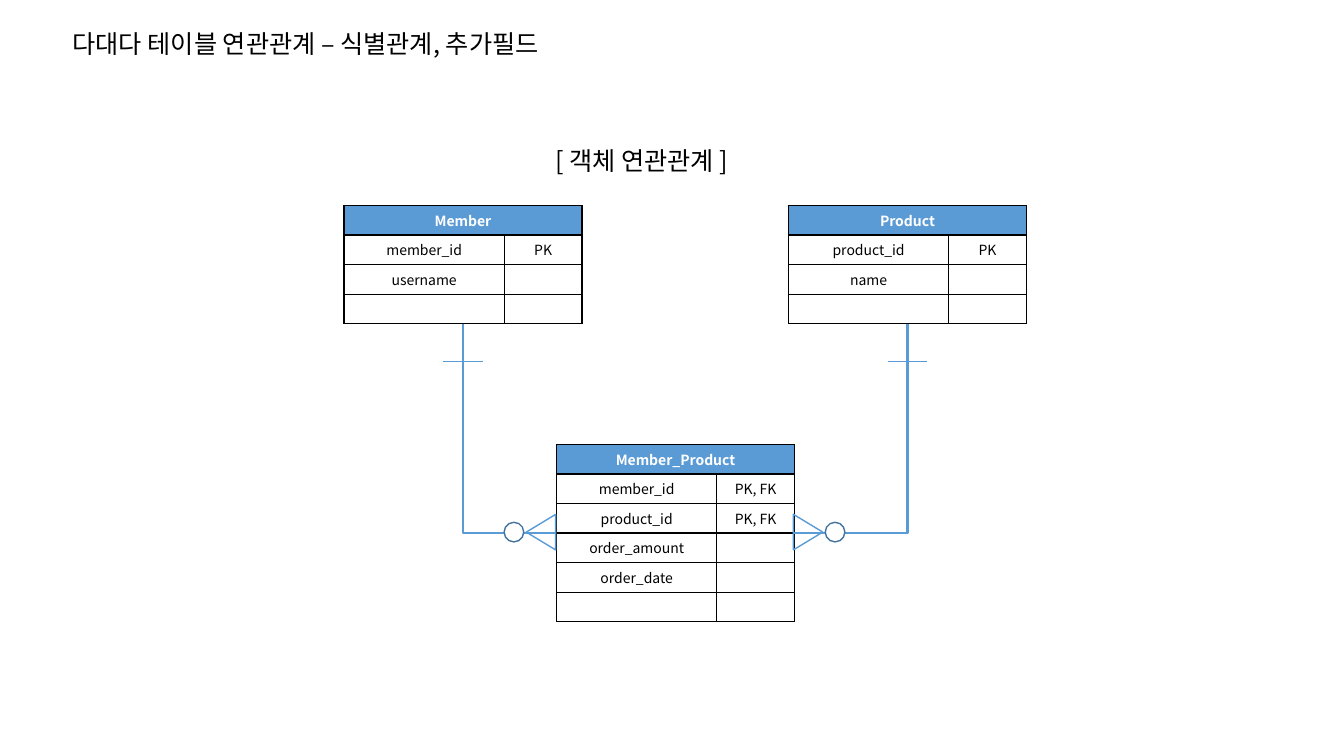
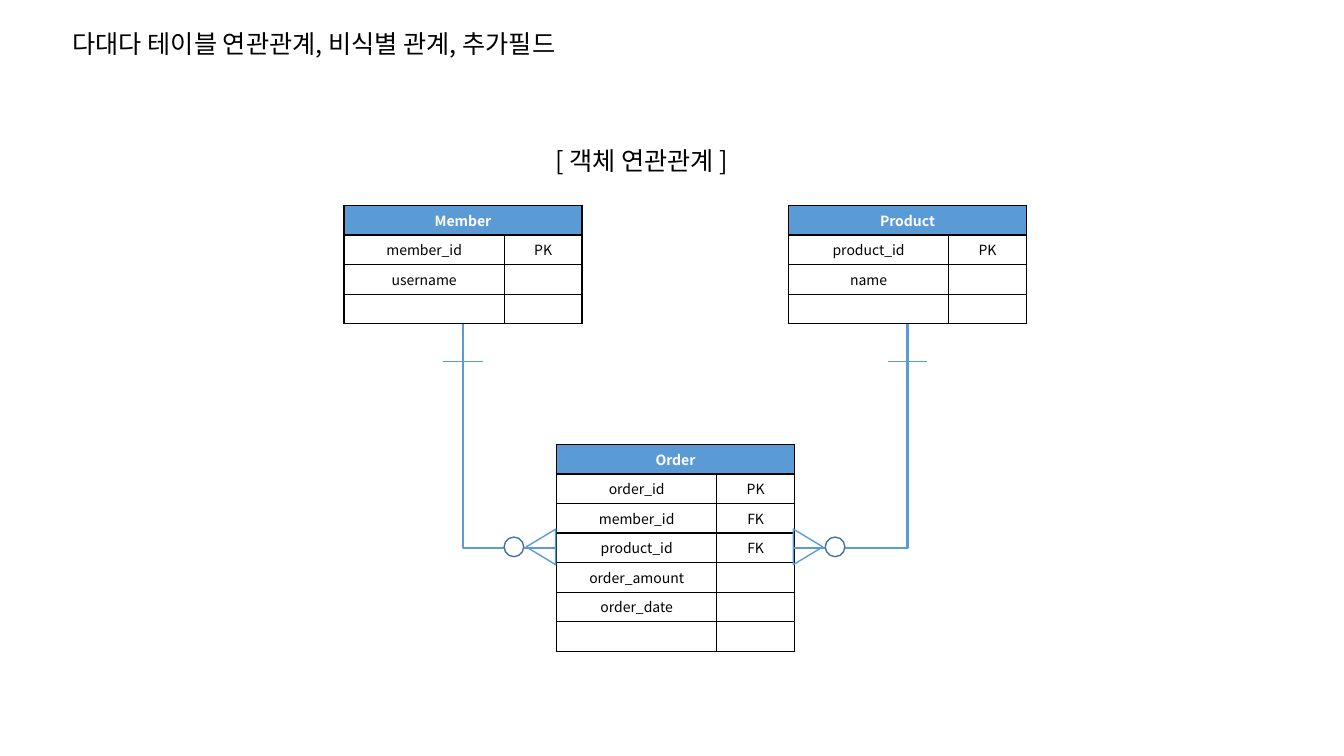
from lxml.etree import SubElement
from pptx import Presentation
from pptx.dml.color import RGBColor
from pptx.enum.shapes import MSO_CONNECTOR, MSO_SHAPE
from pptx.enum.text import MSO_ANCHOR, PP_ALIGN
from pptx.oxml.ns import qn
from pptx.util import Pt

BLACK = RGBColor(0x00, 0x00, 0x00)
WHITE = RGBColor(0xFF, 0xFF, 0xFF)
BLUE = RGBColor(0x5B, 0x9B, 0xD5)
DARK_BLUE = RGBColor(0x43, 0x73, 0x9E)
FONT = "Noto Sans CJK KR"

COLUMN_WIDTHS = (114.5, 55.5)
ENTITY_WIDTH = sum(COLUMN_WIDTHS)
ROW_HEIGHT = 21.1
TOP, LEFT, BOTTOM, RIGHT = range(4)

MEMBER = ("Member", [("member_id", "PK"), ("username", ""), ("", "")])
PRODUCT = ("Product", [("product_id", "PK"), ("name", ""), ("", "")])
ORDER_FIELDS = [("order_amount", ""), ("order_date", ""), ("", "")]
SLIDES = [
    (
        "다대다 테이블 연관관계 – 식별관계, 추가필드",
        ("Member_Product",
         [("member_id", "PK, FK"), ("product_id", "PK, FK")] + ORDER_FIELDS),
    ),
    (
        "다대다 테이블 연관관계, 비식별 관계, 추가필드",
        ("Order",
         [("order_id", "PK"), ("member_id", "FK"), ("product_id", "FK")] + ORDER_FIELDS),
    ),
]


def write(frame, text, size, color=BLACK, bold=False, align=PP_ALIGN.LEFT):
    paragraph = frame.paragraphs[0]
    paragraph.alignment = align
    font = paragraph.font
    font.size, font.bold, font.name = Pt(size), bold, FONT
    font.color.rgb = color
    defaults = paragraph._p.pPr.find(qn("a:defRPr"))
    SubElement(defaults, qn("a:ea"), typeface=FONT)
    if text:
        paragraph.add_run().text = text
    else:
        SubElement(paragraph._p, qn("a:endParaRPr"), sz=str(size * 100))


def add_heading(frame_shape, text, left, top, width, height):
    frame_shape.left, frame_shape.top = Pt(left), Pt(top)
    frame_shape.width, frame_shape.height = Pt(width), Pt(height)
    frame_shape.text_frame.word_wrap = True
    frame_shape.text_frame.vertical_anchor = MSO_ANCHOR.TOP
    write(frame_shape.text_frame, text, 18)


def style_cell(cell, text, header):
    properties = cell._tc.get_or_add_tcPr()
    for side in ("lnL", "lnR", "lnT", "lnB"):
        border = SubElement(properties, qn(f"a:{side}"), w=str(Pt(1)))
        fill = SubElement(border, qn("a:solidFill"))
        SubElement(fill, qn("a:srgbClr"), val=str(BLACK))
    cell.fill.solid()
    cell.fill.fore_color.rgb = BLUE if header else WHITE
    cell.margin_top = cell.margin_bottom = 0
    cell.vertical_anchor = MSO_ANCHOR.MIDDLE
    write(cell.text_frame, text, 10, WHITE if header else BLACK, header, PP_ALIGN.CENTER)


def add_entity(slide, entity, left, top):
    name, fields = entity
    rows = [(name, "")] + fields
    frame = slide.shapes.add_table(
        len(rows), 2, Pt(left), Pt(top), Pt(ENTITY_WIDTH), Pt(ROW_HEIGHT * len(rows)))
    table = frame.table
    table.horz_banding = False
    for column, width in zip(table.columns, COLUMN_WIDTHS):
        column.width = Pt(width)
    for row_index, texts in enumerate(rows):
        table.rows[row_index].height = Pt(ROW_HEIGHT)
        for column_index, text in enumerate(texts):
            style_cell(table.cell(row_index, column_index), text, row_index == 0)
    table.cell(0, 0).merge(table.cell(0, 1))
    return frame


def add_line(slide, kind, start, end, width):
    line = slide.shapes.add_connector(kind, *map(Pt, start + end))
    line.line.color.rgb = BLUE
    line.line.width = Pt(width)
    SubElement(line._element.spPr, qn("a:effectLst"))
    return line


def add_symbol(slide, kind, center_x, center_y, width, height, color):
    symbol = slide.shapes.add_shape(
        kind, Pt(center_x - width / 2), Pt(center_y - height / 2), Pt(width), Pt(height))
    symbol.shadow.inherit = False
    symbol.line.color.rgb = color
    symbol.line.width = Pt(1)
    return symbol


def add_relation(slide, one, many, many_side):
    direction = 1 if many_side == RIGHT else -1
    one_x = (one.left + one.width / 2) / Pt(1)
    one_y = (one.top + one.height) / Pt(1)
    many_x = (many.left + (many.width if many_side == RIGHT else 0)) / Pt(1)
    many_y = (many.top + many.height / 2) / Pt(1)

    link = add_line(slide, MSO_CONNECTOR.ELBOW, (many_x, many_y), (one_x, one_y), 1.5)
    link.begin_connect(many, many_side)
    link.end_connect(one, BOTTOM)
    link._element.spPr.find(qn("a:prstGeom")).set("prst", "bentConnector2")

    tick_y = one_y + 27
    add_line(slide, MSO_CONNECTOR.STRAIGHT, (one_x - 14, tick_y), (one_x + 14, tick_y), 0.5)

    symbol_x, symbol_y = many_x - 0.7, many_y - 0.7
    crow_foot = add_symbol(slide, MSO_SHAPE.ISOSCELES_TRIANGLE,
                           symbol_x + direction * 10.4, symbol_y, 25.4, 21, BLUE)
    crow_foot.rotation = 90 * direction % 360
    crow_foot.fill.background()
    optional = add_symbol(slide, MSO_SHAPE.OVAL,
                          symbol_x + direction * 29.7, symbol_y, 14, 14, DARK_BLUE)
    optional.fill.solid()
    optional.fill.fore_color.rgb = WHITE


def add_diagram(slide, join_entity, left, top):
    caption = slide.shapes.add_textbox(0, 0, 0, 0)
    add_heading(caption, "[ 객체 연관관계 ]", left + 143.8, top, 154, 29)
    member = add_entity(slide, MEMBER, left, top + 46.8)
    product = add_entity(slide, PRODUCT, left + 317.5, top + 46.8)
    join = add_entity(slide, join_entity, left + 151.8, top + 217.5)
    add_relation(slide, member, join, LEFT)
    add_relation(slide, product, join, RIGHT)


def add_relation_slide(presentation, title, join_entity):
    slide = presentation.slides.add_slide(presentation.slide_layouts[5])
    add_heading(slide.shapes.title, title, 44.6, 16.6, 571, 29)
    add_diagram(slide, join_entity, 245.7, 100)


def main():
    presentation = Presentation()
    presentation.slide_width, presentation.slide_height = Pt(960), Pt(540)
    for title, join_entity in SLIDES:
        add_relation_slide(presentation, title, join_entity)
    presentation.save("out.pptx")


if __name__ == "__main__":
    main()
